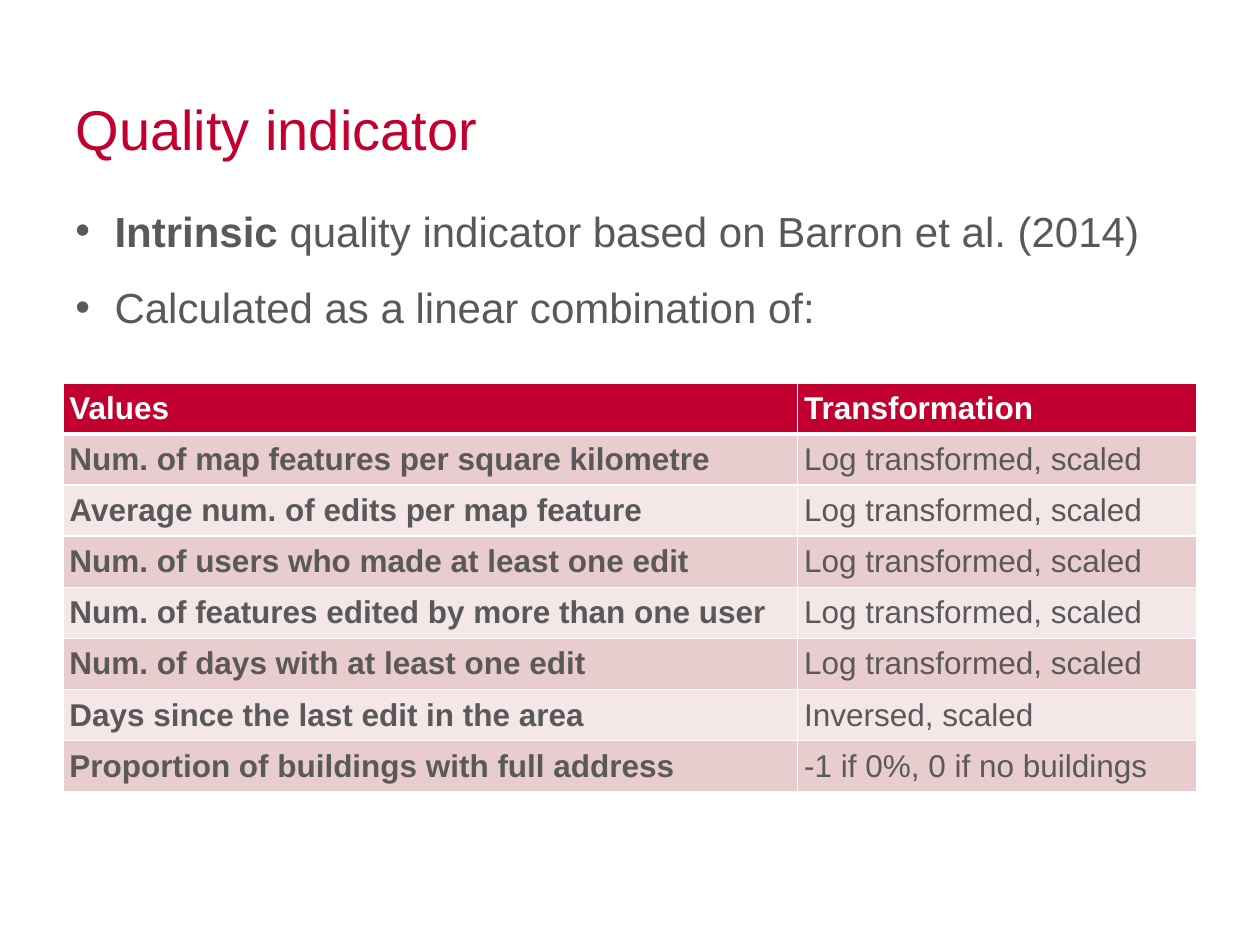
from pptx import Presentation
from pptx.dml.color import RGBColor
from pptx.enum.text import MSO_ANCHOR, PP_ALIGN
from pptx.oxml.ns import qn
from pptx.util import Cm, Pt
from lxml import etree

LEFT = PP_ALIGN.LEFT
TOP = MSO_ANCHOR.TOP
MIDDLE = MSO_ANCHOR.MIDDLE

CRIMSON = RGBColor(0xC2, 0x00, 0x2F)
GREY = RGBColor(0x59, 0x59, 0x59)
WHITE = RGBColor(0xFF, 0xFF, 0xFF)
ROSE = RGBColor(0xE9, 0xCC, 0xCD)
PALE_ROSE = RGBColor(0xF4, 0xE7, 0xE8)

TITLE_FORMAT = {"name": "Arial", "size": Pt(32), "bold": False}
BULLET_FORMAT = {"name": "Arial", "size": Pt(24)}
CELL_FORMAT = {"name": "Arial", "size": Pt(18)}

BULLETS = [
    [("Intrinsic", True), (" quality indicator based on Barron et al. (2014)", False)],
    [("Calculated as a linear combination of:", False)],
]
LOG_SCALED = "Log transformed, scaled"
INDICATORS = [
    ("Values", "Transformation"),
    ("Num. of map features per square kilometre", LOG_SCALED),
    ("Average num. of edits per map feature", LOG_SCALED),
    ("Num. of users who made at least one edit", LOG_SCALED),
    ("Num. of features edited by more than one user", LOG_SCALED),
    ("Num. of days with at least one edit", LOG_SCALED),
    ("Days since the last edit in the area", "Inversed, scaled"),
    ("Proportion of buildings with full address", "-1 if 0%, 0 if no buildings"),
]


def format_font(font, values, color):
    for name, value in values.items():
        setattr(font, name, value)
    font.color.rgb = color


def add_solid_fill(parent, color):
    fill = etree.SubElement(parent, qn("a:solidFill"))
    etree.SubElement(fill, qn("a:srgbClr"), val=str(color))


def add_bullet(para, indent):
    properties = para._p.get_or_add_pPr()
    properties.set("marL", str(indent))
    properties.set("indent", str(-indent))
    add_solid_fill(etree.SubElement(properties, qn("a:buClr")), GREY)
    # A colour choice sits directly inside buClr
    bullet_color = properties.find(qn("a:buClr"))
    bullet_color.replace(bullet_color[0], bullet_color[0][0])
    etree.SubElement(properties, qn("a:buFont"), typeface="Arial")
    etree.SubElement(properties, qn("a:buChar"), char="•")


def add_borders(cell, widths):
    properties = cell._tc.get_or_add_tcPr()
    for side, width in widths.items():
        line = etree.SubElement(properties, qn(f"a:ln{side}"), w=str(Pt(width)))
        add_solid_fill(line, WHITE)


def place_title(page, left, top, width, height):
    title = page.shapes.title
    title.left, title.top, title.width, title.height = left, top, width, height
    frame = title.text_frame
    frame.text = "Quality indicator"
    frame.vertical_anchor = MIDDLE
    para = frame.paragraphs[0]
    para.alignment = LEFT
    format_font(para.runs[0].font, TITLE_FORMAT, CRIMSON)


def place_bullets(page, left, top, width, height):
    frame = page.shapes.add_textbox(left, top, width, height).text_frame
    frame.word_wrap = True
    frame.vertical_anchor = TOP
    for index, spans in enumerate(BULLETS):
        para = frame.add_paragraph() if index else frame.paragraphs[0]
        para.space_before = Pt(15 if index else 0)
        add_bullet(para, Cm(0.79))
        for text, bold in spans:
            span = para.add_run()
            span.text = text
            format_font(span.font, {**BULLET_FORMAT, "bold": bold}, GREY)


def fill_cell(cell, text, row, column):
    header = row == 0
    for side in ("left", "right", "top", "bottom"):
        setattr(cell, f"margin_{side}", Cm(0.13))
    cell.vertical_anchor = MIDDLE
    # The rule under the header is shared with the first body row
    add_borders(cell, {"L": 1, "R": 1, "T": 3 if row == 1 else 1, "B": 3 if header else 1})
    cell.fill.solid()
    cell.fill.fore_color.rgb = CRIMSON if header else (PALE_ROSE, ROSE)[row % 2]
    cell.text = text
    font = cell.text_frame.paragraphs[0].runs[0].font
    format_font(font, {**CELL_FORMAT, "bold": header or column == 0}, WHITE if header else GREY)


def place_indicator_table(page, left, top, width, height):
    rows = len(INDICATORS)
    table = page.shapes.add_table(rows, 2, left, top, width, height).table
    table.columns[0].width = Cm(14.81)
    table.columns[1].width = width - Cm(14.81)
    for row, texts in enumerate(INDICATORS):
        table.rows[row].height = height // rows
        for column, text in enumerate(texts):
            fill_cell(table.cell(row, column), text, row, column)


def main():
    deck = Presentation()
    deck.slide_width, deck.slide_height = Cm(25.4), Cm(19.05)
    page = deck.slides.add_slide(deck.slide_layouts[5])  # title only
    left, width = Cm(1.27), Cm(22.86)
    place_title(page, left, Cm(1.52), width, Cm(2.13))
    place_indicator_table(page, left, Cm(7.72), width, Cm(8.24))
    place_bullets(page, left, Cm(4.01), width, Cm(3.35))
    deck.save("out.pptx")


if __name__ == "__main__":
    main()
